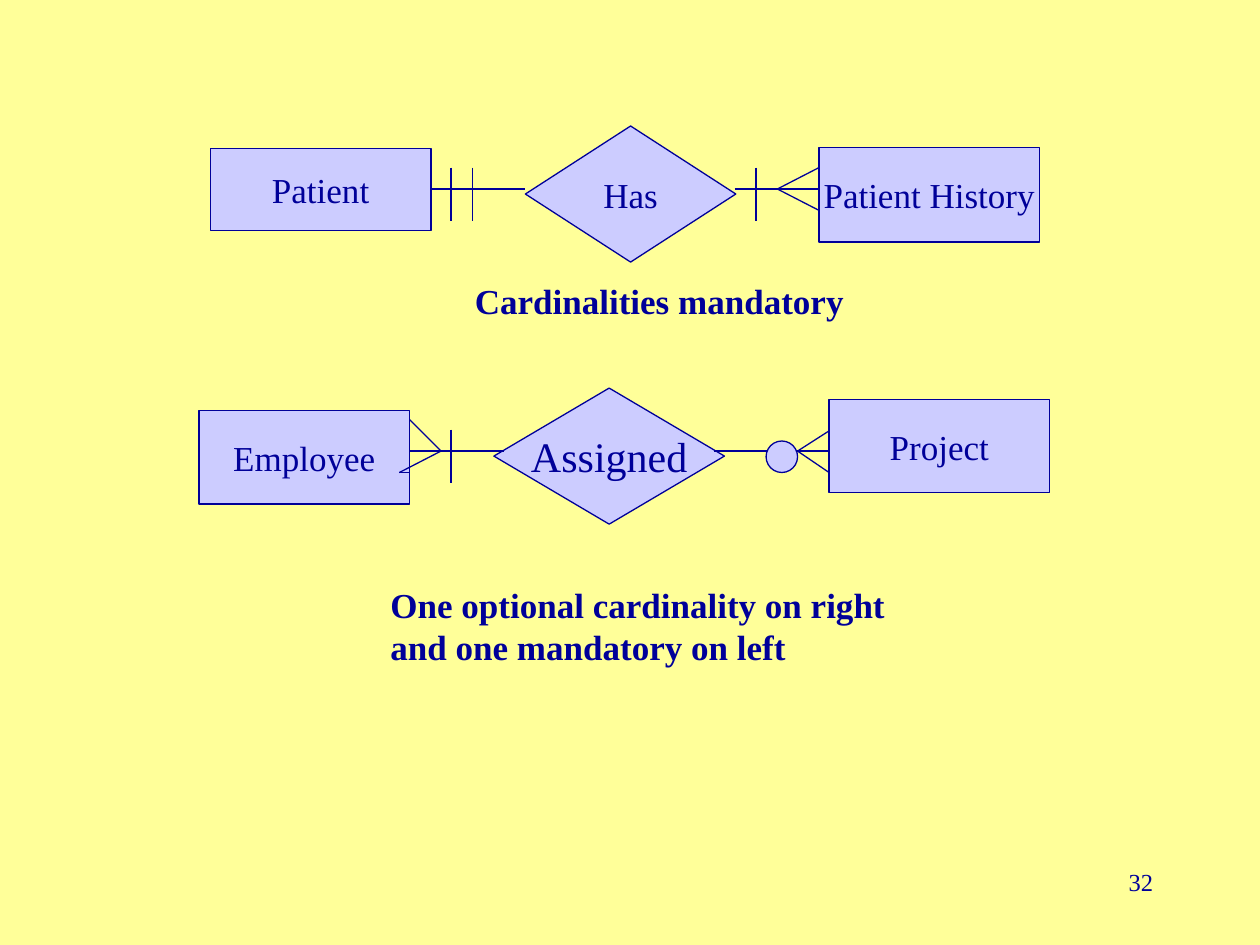
from typing import NamedTuple

import pptx
import pptx.dml.color
import pptx.enum.shapes
import pptx.enum.text
import pptx.oxml.xmlchemy
import pptx.shapes.autoshape
import pptx.slide
import pptx.text.text
import pptx.util
from pptx.util import Inches

NAVY = pptx.dml.color.RGBColor(0x00, 0x00, 0x99)
LAVENDER = pptx.dml.color.RGBColor(0xCC, 0xCC, 0xFF)
PALE_YELLOW = pptx.dml.color.RGBColor(0xFF, 0xFF, 0x99)
FONT = "Times New Roman"
LINE_WIDTH = pptx.util.Pt(0.75)

Kind = pptx.enum.shapes.MSO_SHAPE
Align = pptx.enum.text.PP_ALIGN


class Node(NamedTuple):
    kind: Kind
    left: float
    top: float
    width: float
    height: float
    label: str = ""
    size: int = 20


class Line(NamedTuple):
    x1: float
    y1: float
    x2: float
    y2: float


class Caption(NamedTuple):
    text: str
    left: float
    top: float
    width: float
    height: float
    size: int = 20
    bold: bool = True
    align: Align = Align.LEFT


NODES = [
    Node(Kind.RECTANGLE, 1.67, 1.18, 1.75, 0.65, "Patient"),
    Node(Kind.FLOWCHART_DECISION, 4.17, 1, 1.67, 1.08, "Has"),
    Node(Kind.RECTANGLE, 6.5, 1.17, 1.75, 0.75, "Patient History"),
    Node(Kind.RECTANGLE, 1.58, 3.26, 1.67, 0.74, "Employee"),
    Node(Kind.FLOWCHART_DECISION, 3.92, 3.08, 1.83, 1.08, "Assigned", 24),
    Node(Kind.RECTANGLE, 6.58, 3.17, 1.75, 0.74, "Project"),
]
OPTIONAL_MARK = Node(Kind.OVAL, 6.08, 3.5, 0.25, 0.25)

HAS_Y = 1.5
ASSIGNED_Y = 3.58


def mandatory_bar(x: float, axis_y: float) -> Line:
    return Line(x, axis_y - 0.17, x, axis_y + 0.25)


def crow_foot(tip_x: float, axis_y: float, *toes: tuple[float, float]) -> list[Line]:
    return [Line(tip_x, axis_y, x, y) for x, y in toes]


LINES = [
    Line(3.42, HAS_Y, 4.17, HAS_Y),
    mandatory_bar(3.58, HAS_Y),
    mandatory_bar(3.75, HAS_Y),
    Line(5.83, HAS_Y, 6.5, HAS_Y),
    *crow_foot(6.17, HAS_Y, (6.5, 1.33), (6.5, 1.67)),
    mandatory_bar(6, HAS_Y),
    Line(3.25, 3.75, 3.17, 3.75),
    Line(3.25, ASSIGNED_Y, 4, ASSIGNED_Y),
    Line(5.67, ASSIGNED_Y, 6.58, ASSIGNED_Y),
    mandatory_bar(3.58, ASSIGNED_Y),
    *crow_foot(3.5, ASSIGNED_Y, (3.25, 3.33), (3.17, 3.75)),
    *crow_foot(6.33, ASSIGNED_Y, (6.58, 3.42), (6.58, 3.75)),
]

CAPTIONS = [
    Caption("Cardinalities mandatory", 3.67, 2.17, 3.42, 0.44),
    Caption("One optional cardinality on right and one mandatory on left",
            3, 4.58, 4.25, 0.77),
    Caption("32", 7.17, 6.83, 2.08, 0.5, size=14, bold=False, align=Align.RIGHT),
]


def write(frame: pptx.text.text.TextFrame, text: str, size: int,
          align: Align, bold: bool = False) -> None:
    frame.text = text
    paragraph = frame.paragraphs[0]
    paragraph.alignment = align
    for run in paragraph.runs:
        run.font.name = FONT
        run.font.size = pptx.util.Pt(size)
        run.font.bold = bold
        run.font.color.rgb = NAVY


def add_node(slide: pptx.slide.Slide, node: Node) -> None:
    shape = slide.shapes.add_shape(
        node.kind, Inches(node.left), Inches(node.top),
        Inches(node.width), Inches(node.height))
    shape.shadow.inherit = False
    shape.fill.solid()
    shape.fill.fore_color.rgb = LAVENDER
    shape.line.color.rgb = NAVY
    shape.line.width = LINE_WIDTH
    if node.label:
        shape.text_frame.word_wrap = False
        shape.text_frame.vertical_anchor = pptx.enum.text.MSO_ANCHOR.MIDDLE
        write(shape.text_frame, node.label, node.size, Align.CENTER)


def add_line(slide: pptx.slide.Slide, line: Line) -> None:
    connector = slide.shapes.add_connector(
        pptx.enum.shapes.MSO_CONNECTOR.STRAIGHT, *map(Inches, line))
    connector.line.color.rgb = NAVY
    connector.line.width = LINE_WIDTH
    connector.element.spPr.append(pptx.oxml.xmlchemy.OxmlElement("a:effectLst"))


def add_caption(slide: pptx.slide.Slide, caption: Caption) -> None:
    box = slide.shapes.add_textbox(
        Inches(caption.left), Inches(caption.top),
        Inches(caption.width), Inches(caption.height))
    box.text_frame.word_wrap = True
    write(box.text_frame, caption.text, caption.size, caption.align, caption.bold)


def main() -> None:
    deck = pptx.Presentation()
    deck.slide_width, deck.slide_height = Inches(10), Inches(7.5)
    slide = deck.slides.add_slide(deck.slide_layouts.get_by_name("Blank"))
    slide.background.fill.solid()
    slide.background.fill.fore_color.rgb = PALE_YELLOW

    for node in NODES:
        add_node(slide, node)
    for line in LINES:
        add_line(slide, line)
    add_node(slide, OPTIONAL_MARK)
    for caption in CAPTIONS:
        add_caption(slide, caption)

    deck.save("out.pptx")


if __name__ == "__main__":
    main()
